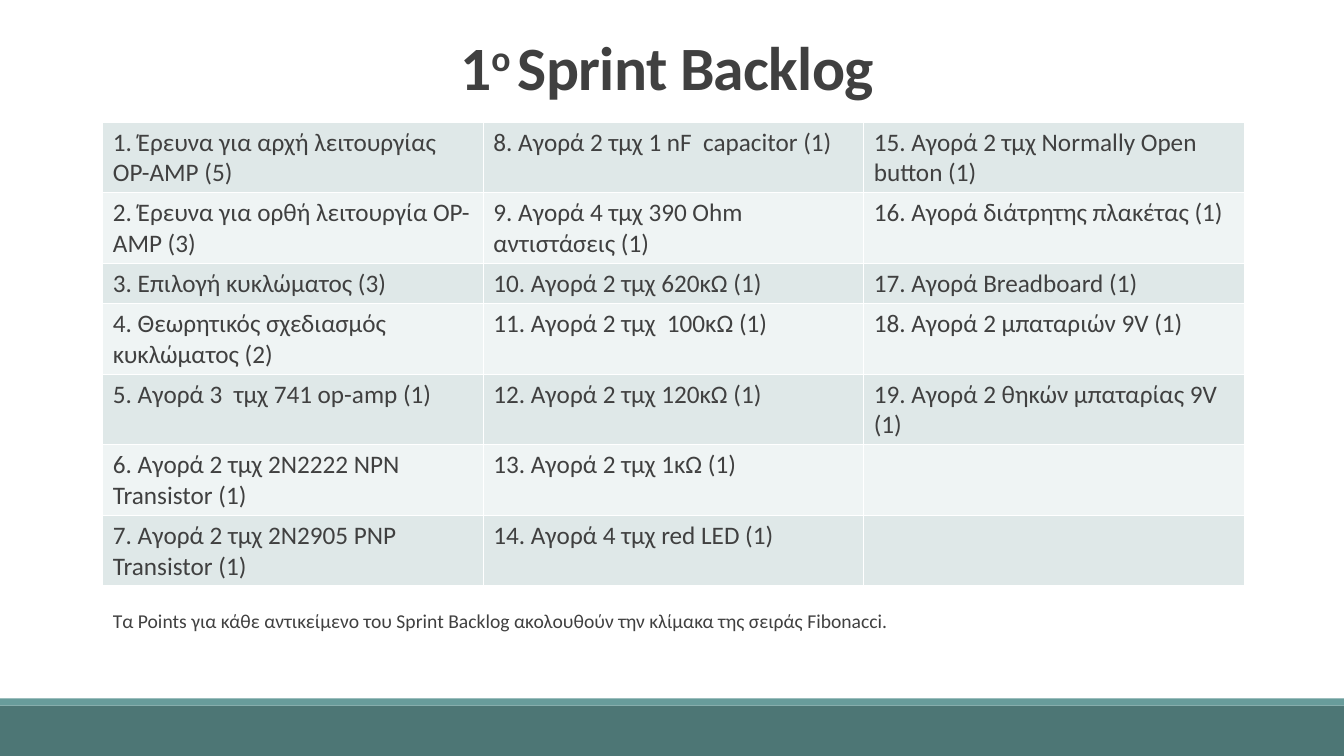
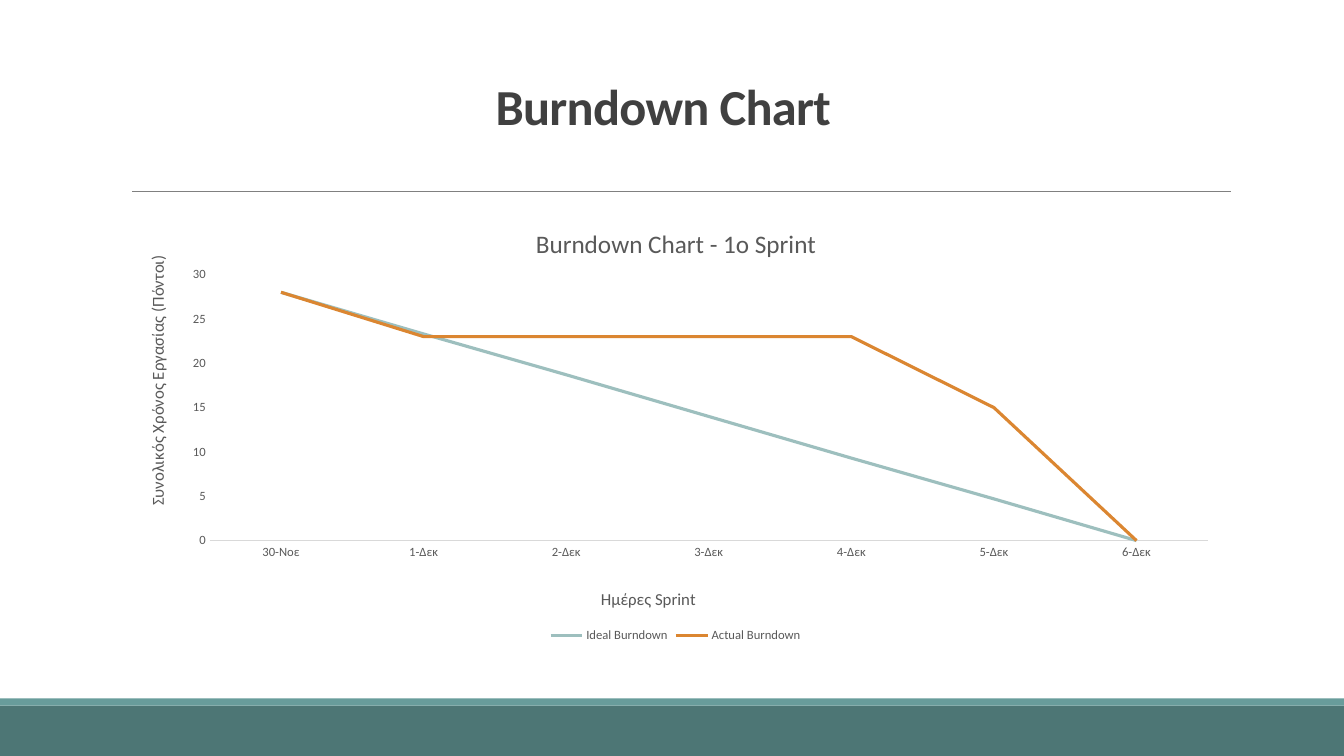
from dataclasses import dataclass
from itertools import product

from pptx import Presentation
from pptx.chart.data import CategoryChartData
from pptx.dml.color import RGBColor
from pptx.enum.chart import XL_CHART_TYPE, XL_LEGEND_POSITION, XL_TICK_MARK
from pptx.enum.shapes import MSO_CONNECTOR, MSO_SHAPE
from pptx.enum.text import MSO_ANCHOR, PP_ALIGN
from pptx.oxml import parse_xml
from pptx.oxml.ns import nsdecls, qn
from pptx.slide import Slide
from pptx.util import Inches, Pt

FONT = "Calibri"
INK, GREY, RULE, AXIS = "404040", "595959", "808080", "D9D9D9"
WHITE, DARK, LIGHT = "FFFFFF", "4D7675", "689C9B"
STRIPES = ("DFE8E8", "EFF4F4")
WIDTH, HEIGHT = 13.33, 7.5


@dataclass(frozen=True)
class Band:
    top: float
    height: float
    fill: str


@dataclass(frozen=True)
class Series:
    name: str
    values: tuple
    color: str


BANDS = (Band(7, 0.5, DARK), Band(6.93, 0.07, LIGHT))

TASKS = (
    (
        "1. Έρευνα για αρχή λειτουργίας ΟP-AMP (5)",
        "2. Έρευνα για ορθή λειτουργία OP-AMP (3)",
        "3. Επιλογή κυκλώματος (3)",
        "4. Θεωρητικός σχεδιασμός κυκλώματος (2)",
        "5. Αγορά 3  τμχ 741 op-amp (1)",
        "6. Αγορά 2 τμχ 2Ν2222 ΝΡΝ Transistor (1)",
        "7. Αγορά 2 τμχ 2Ν2905 PNP Transistor (1)",
    ),
    (
        "8. Αγορά 2 τμχ 1 nF  capacitor (1)",
        "9. Αγορά 4 τμχ 390 Ohm αντιστάσεις (1)",
        "10. Αγορά 2 τμχ 620κΩ (1)",
        "11. Αγορά 2 τμχ  100κΩ (1)",
        "12. Αγορά 2 τμχ 120κΩ (1)",
        "13. Αγορά 2 τμχ 1κΩ (1)",
        "14. Αγορά 4 τμχ red LED (1)",
    ),
    (
        "15. Αγορά 2 τμχ Normally Open button (1)",
        "16. Αγορά διάτρητης πλακέτας (1)",
        "17. Αγορά Breadboard (1)",
        "18. Αγορά 2 μπαταριών 9V (1)",
        "19. Αγορά 2 θηκών μπαταρίας 9V (1)",
    ),
)
ROWS = (0.67, 0.67, 0.38, 0.67, 0.67, 0.67, 0.67)

DAYS = ("30-Νοε", "1-Δεκ", "2-Δεκ", "3-Δεκ", "4-Δεκ", "5-Δεκ", "6-Δεκ")
SERIES = (
    Series("Ideal Burndown", (28, 23.3, 18.7, 14, 9.3, 4.7, 0), "9DBFBE"),
    Series("Actual Burndown", (28, 23, 23, 23, 23, 15, 0), "DB8631"),
)


def color(value: str) -> RGBColor:
    return RGBColor.from_string(value)


def style(font, size: float, ink: str = INK, bold: bool = False) -> None:
    font.name = FONT
    font.size = Pt(size)
    font.bold = bold
    font.color.rgb = color(ink)


def write(frame, text, *, size: float, ink: str = INK, bold: bool = False,
          align=None, leading=None, track: float = 0, raised=()) -> None:
    line = frame.paragraphs[0]
    line.alignment = align
    line.line_spacing = leading
    parts = (text,) if isinstance(text, str) else text
    for index, part in enumerate(parts):
        run = line.add_run()
        run.text = part
        style(run.font, size, ink, bold)
        props = run.font._element
        if track:
            props.set("spc", str(round(track * 100)))
        if index in raised:
            props.set("baseline", "30000")


def add_text(slide: Slide, text, left: float, top: float, width: float,
             height: float, anchor=MSO_ANCHOR.TOP, **form) -> None:
    frame = slide.shapes.add_textbox(
        Inches(left), Inches(top), Inches(width), Inches(height)).text_frame
    frame.word_wrap = True
    frame.vertical_anchor = anchor
    write(frame, text, **form)


def add_title(slide: Slide, text, left: float, top: float, height: float,
              size: float, raised=()) -> None:
    add_text(slide, text, left, top, 11, height, MSO_ANCHOR.BOTTOM, size=size,
             bold=True, align=PP_ALIGN.CENTER, leading=0.85, track=-0.5,
             raised=raised)


def add_base(deck) -> Slide:
    slide = deck.slides.add_slide(deck.slide_layouts[6])
    for band in BANDS:
        shape = slide.shapes.add_shape(
            MSO_SHAPE.RECTANGLE, 0, Inches(band.top), Inches(WIDTH),
            Inches(band.height))
        shape.shadow.inherit = False
        shape.fill.solid()
        shape.fill.fore_color.rgb = color(band.fill)
        shape.line.fill.background()
    rule = slide.shapes.add_connector(
        MSO_CONNECTOR.STRAIGHT, Inches(1.31), Inches(1.9), Inches(12.21),
        Inches(1.9))
    rule.line.color.rgb = color(RULE)
    rule.line.width = Pt(0.5)
    rule._element.spPr.append(parse_xml(f"<a:effectLst {nsdecls('a')}/>"))
    return slide


def edge(cell) -> None:
    props = cell._tc.get_or_add_tcPr()
    for index, side in enumerate("LRTB"):
        props.insert(index, parse_xml(
            f'<a:ln{side} {nsdecls("a")} w="12700"><a:solidFill>'
            f'<a:srgbClr val="{WHITE}"/></a:solidFill></a:ln{side}>'))


def add_tasks(slide: Slide) -> None:
    table = slide.shapes.add_table(
        len(ROWS), len(TASKS), Inches(1.02), Inches(1.21), Inches(11.32),
        Inches(sum(ROWS))).table
    for row, height in zip(table.rows, ROWS):
        row.height = Inches(height)
    for row, col in product(range(len(ROWS)), range(len(TASKS))):
        cell = table.cell(row, col)
        cell.fill.solid()
        cell.fill.fore_color.rgb = color(STRIPES[row % 2])
        edge(cell)
        if row < len(TASKS[col]):
            write(cell.text_frame, TASKS[col][row], size=18)


def place(item, left: float, top: float, size=None) -> None:
    old = item.find(qn("c:layout"))
    if old is not None:
        item.remove(old)
    rules = [("xMode", "edge"), ("yMode", "edge"), ("x", left), ("y", top)]
    if size:
        rules.insert(0, ("layoutTarget", "inner"))
        rules += zip("wh", size)
    body = "".join(f'<c:{key} val="{value}"/>' for key, value in rules)
    layout = parse_xml(
        f'<c:layout {nsdecls("c")}><c:manualLayout>{body}'
        '</c:manualLayout></c:layout>')
    text = item.find(qn("c:tx"))
    if text is None:
        item.insert(0, layout)
    else:
        text.addnext(layout)


def label(title, text: str, size: float, left: float, top: float,
          turn: int = 0) -> None:
    write(title.text_frame, text, size=size, ink=GREY)
    title.text_frame._txBody.bodyPr.set("rot", str(turn * 60000))
    place(title._element, left, top)


def add_chart(slide: Slide) -> None:
    data = CategoryChartData()
    data.categories = DAYS
    for item in SERIES:
        data.add_series(item.name, item.values)
    chart = slide.shapes.add_chart(
        XL_CHART_TYPE.LINE, Inches(1.2), Inches(2.02), Inches(11),
        Inches(4.4), data).chart
    style(chart.font, 10, "000000")
    chart.has_title = True
    label(chart.chart_title, "Burndown Chart - 1ο Sprint", 18, 0.37, 0.04)

    days, points = chart.category_axis, chart.value_axis
    for axis in (days, points):
        axis.has_major_gridlines = False
        axis.major_tick_mark = axis.minor_tick_mark = XL_TICK_MARK.NONE
        style(axis.tick_labels.font, 9, GREY)
    days.format.line.color.rgb = color(AXIS)
    days.format.line.width = Pt(0.75)
    points.format.line.fill.background()
    points.minimum_scale, points.maximum_scale = 0, 30
    points.major_unit = 5
    label(days.axis_title, "Ημέρες Sprint", 12, 0.43, 0.86)
    label(points.axis_title, "Συνολικός Χρόνος Εργασίας (Πόντοι)", 12,
          0.02, 0.11, turn=-90)
    place(chart._chartSpace.chart.plotArea, 0.08, 0.16, (0.9, 0.6))

    chart.has_legend = True
    chart.legend.position = XL_LEGEND_POSITION.BOTTOM
    chart.legend.include_in_layout = False
    style(chart.legend.font, 9, GREY)
    plot = chart.plots[0]
    plot.vary_by_categories = False
    for line, item in zip(plot.series, SERIES):
        line.smooth = False
        line.format.line.color.rgb = color(item.color)
        line.format.line.width = Pt(2.25)


def main() -> None:
    deck = Presentation()
    deck.slide_width, deck.slide_height = Inches(WIDTH), Inches(HEIGHT)

    slide = add_base(deck)
    add_title(slide, ("1", "ο ", "Sprint Backlog "), 1.18, 0.17, 0.9, 44,
              raised=(1,))
    add_tasks(slide)
    add_text(slide, "Τα Points για κάθε αντικείμενο του Sprint Backlog "
             "ακολουθούν την κλίμακα της σειράς Fibonacci.",
             1.02, 5.99, 11.32, 0.34, size=14)

    slide = add_base(deck)
    add_title(slide, "Burndown Chart ", 1.13, 0.75, 0.65, 36)
    add_chart(slide)

    deck.save("out.pptx")


if __name__ == "__main__":
    main()
